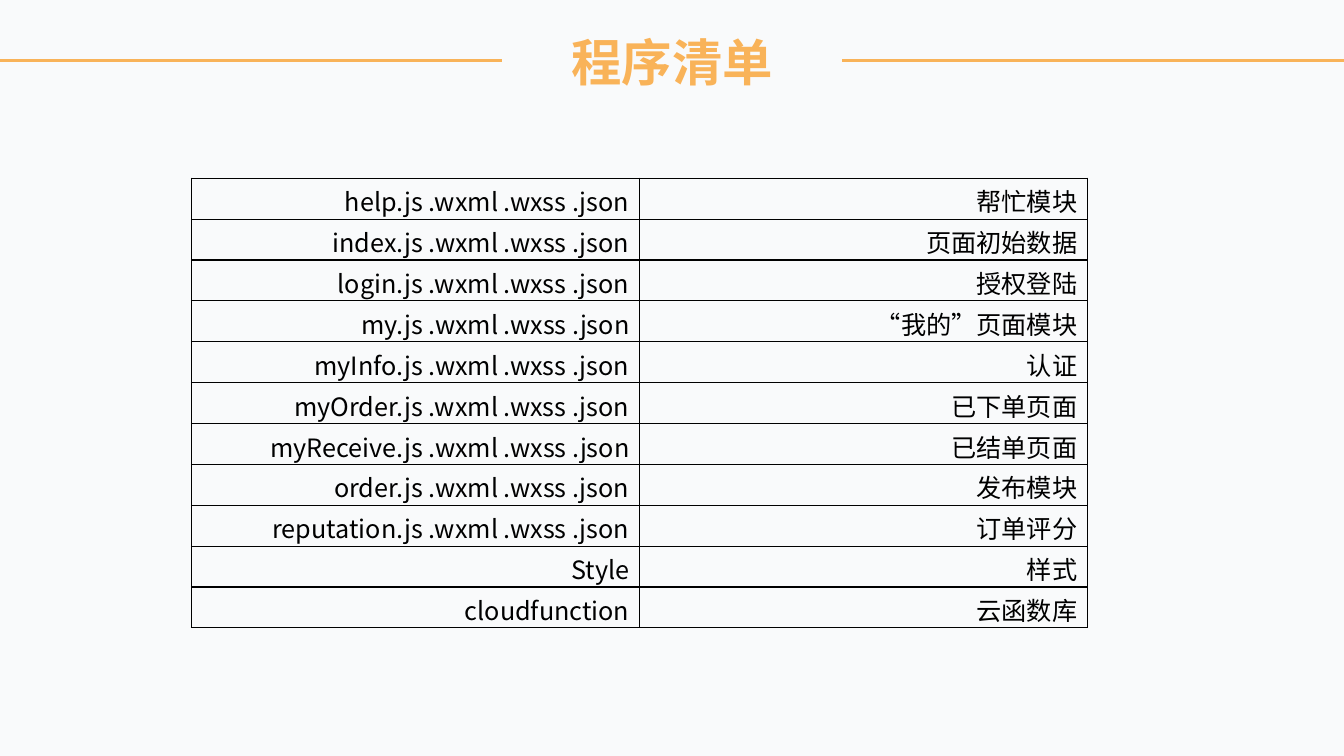
from dataclasses import dataclass

from lxml.etree import SubElement
from pptx import Presentation
from pptx.dml.color import RGBColor
from pptx.enum.shapes import MSO_CONNECTOR, MSO_SHAPE
from pptx.enum.text import MSO_ANCHOR, PP_ALIGN
from pptx.oxml.ns import qn
from pptx.util import Pt


@dataclass(frozen=True)
class Theme:
    font: str = "Noto Sans CJK SC"
    back: str = "F9FAFB"
    accent: str = "F9B359"
    ink: str = "000000"
    title: int = 36
    body: int = 18
    rule: int = 2
    border: int = 1


class Board:
    """Holds the theme and the current slide."""

    def __init__(self, slide, theme):
        self.slide = slide
        self.theme = theme
        fill = slide.background.fill
        fill.solid()
        fill.fore_color.rgb = RGBColor.from_string(theme.back)

    def style(self, frame, size, color, align, bold=False):
        for para in frame.paragraphs:
            para.alignment = align
            for run in para.runs:
                font = run.font
                font.name = self.theme.font
                font.size = Pt(size)
                font.bold = bold
                font.color.rgb = RGBColor.from_string(color)
                # East Asian text needs its own typeface entry
                SubElement(font._element, qn("a:ea"), typeface=self.theme.font)

    def line(self, left, right, top):
        rule = self.slide.shapes.add_connector(
            MSO_CONNECTOR.STRAIGHT, Pt(left), Pt(top), Pt(right), Pt(top))
        rule.line.color.rgb = RGBColor.from_string(self.theme.accent)
        rule.line.width = Pt(self.theme.rule)
        SubElement(rule._element.spPr, qn("a:effectLst"))

    def title(self, text, left, top, width, height):
        box = self.slide.shapes.add_shape(
            MSO_SHAPE.RECTANGLE, Pt(left), Pt(top), Pt(width), Pt(height))
        box.shadow.inherit = False
        box.fill.solid()
        box.fill.fore_color.rgb = RGBColor.from_string(self.theme.back)
        box.line.fill.background()
        frame = box.text_frame
        frame.margin_left = frame.margin_right = Pt(3.6)
        frame.margin_top = frame.margin_bottom = Pt(3.6)
        frame.vertical_anchor = MSO_ANCHOR.MIDDLE
        frame.word_wrap = True
        frame.text = text
        self.style(frame, self.theme.title, self.theme.accent,
                   PP_ALIGN.CENTER, bold=True)

    def border(self, cell):
        props = cell._tc.get_or_add_tcPr()
        for side in ("a:lnL", "a:lnR", "a:lnT", "a:lnB"):
            edge = SubElement(props, qn(side), w=str(Pt(self.theme.border)))
            fill = SubElement(edge, qn("a:solidFill"))
            SubElement(fill, qn("a:srgbClr"), val=self.theme.ink)

    def table(self, rows, left, top, width, row_height):
        grid = self.slide.shapes.add_table(
            len(rows), len(rows[0]), Pt(left), Pt(top),
            Pt(width), Pt(row_height * len(rows))).table
        grid.first_row = grid.horz_banding = False
        for row, texts in zip(grid.rows, rows):
            row.height = Pt(row_height)
            for cell, text in zip(row.cells, texts):
                cell.margin_top, cell.margin_bottom = Pt(3.1), Pt(0)
                cell.text = text
                self.style(cell.text_frame, self.theme.body, self.theme.ink,
                           PP_ALIGN.RIGHT)
                self.border(cell)
                cell.fill.background()


# Page modules share the same set of file types
PAGES = [
    ("help", "帮忙模块"),
    ("index", "页面初始数据"),
    ("login", "授权登陆"),
    ("my", "“我的”页面模块"),
    ("myInfo", "认证"),
    ("myOrder", "已下单页面"),
    ("myReceive", "已结单页面"),
    ("order", "发布模块"),
    ("reputation", "订单评分"),
]
OTHERS = [("Style", "样式"), ("cloudfunction", "云函数库")]


def main():
    deck = Presentation()
    deck.slide_width, deck.slide_height = Pt(960), Pt(540)
    board = Board(deck.slides.add_slide(deck.slide_layouts[6]), Theme())

    # Heading over a full-width rule
    board.line(0, 960, 43.2)
    board.title("程序清单", 358.6, 18, 242.8, 51)

    # Program list
    files = [(f"{name}.js .wxml .wxss .json", use) for name, use in PAGES]
    board.table(files + OTHERS, 136.8, 127.3, 640, 29.2)

    deck.save("out.pptx")


if __name__ == "__main__":
    main()
